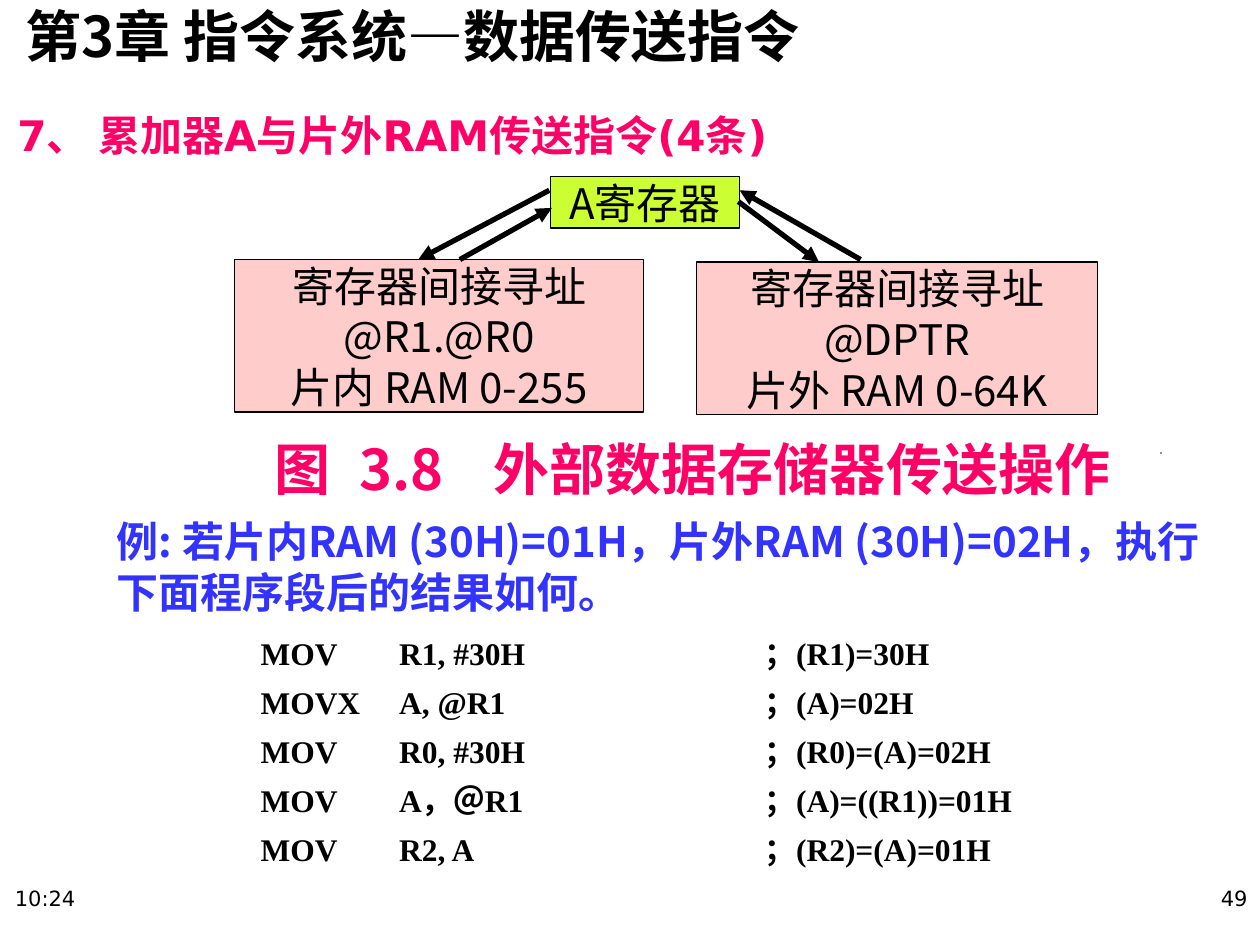
from lxml.etree import SubElement
from pptx import Presentation
from pptx.dml.color import RGBColor
from pptx.enum.shapes import MSO_CONNECTOR, MSO_SHAPE
from pptx.enum.text import PP_ALIGN
from pptx.oxml.ns import qn
from pptx.util import Inches, Pt

COLORS = {"ink": "000000", "pink": "FF0066", "blue": "3333FF",
          "lime": "CCFF33", "rose": "FFCCCC"}
SANS, SANS_JP = "Noto Sans CJK SC", "Noto Sans CJK JP"
LATIN, SERIF = "DejaVu Sans", "Times New Roman"
CELL = 0.1
INSET = (1, 0.5, 1, 0.5)


def color(name):
    """Return the named palette colour."""
    return RGBColor.from_string(COLORS[name])


def grid(*cells):
    """Convert grid cells to lengths."""
    return [Inches(n * CELL) for n in cells]


def within(box, x, y, w, h):
    """Place a part, given in cells, relative to its region's corner."""
    return box[0] + x, box[1] + y, w, h


def write(sp, lines, size=24, font=SANS, ink="ink", bold=False, spacing=None,
          align=PP_ALIGN.LEFT, inset=(0, 0, 0, 0), wrap=True, tabs=()):
    """Fill a shape with formatted lines of text."""
    tf = sp.text_frame
    tf.word_wrap = wrap
    tf.margin_left, tf.margin_top, tf.margin_right, tf.margin_bottom = grid(*inset)
    for i, line in enumerate(lines):
        p = tf.paragraphs[0] if i == 0 else tf.add_paragraph()
        p.alignment = align
        if spacing:
            p.line_spacing = Pt(spacing)
        if tabs:
            stops = SubElement(p._p.get_or_add_pPr(), qn("a:tabLst"))
            for stop in grid(*tabs):
                SubElement(stops, qn("a:tab"), pos=str(stop), algn="l")
        r = p.add_run()
        r.text = line
        r.font.size, r.font.bold, r.font.name = Pt(size), bold, font
        r.font.color.rgb = color(ink)
        east = font if font in (SANS, SANS_JP) else SANS
        SubElement(r._r.get_or_add_rPr(), qn("a:ea"), typeface=east)


def add_text(slide, box, lines, **fmt):
    """Add a text box at a grid box."""
    write(slide.shapes.add_textbox(*grid(*box)), lines, **fmt)


def add_block(slide, box, fill, lines=(), outline=True):
    """Add a filled rectangle with centred text."""
    sp = slide.shapes.add_shape(MSO_SHAPE.RECTANGLE, *grid(*box))
    sp.shadow.inherit = False
    sp.fill.solid()
    sp.fill.fore_color.rgb = color(fill)
    if outline:
        sp.line.color.rgb = color("ink")
        sp.line.width = Pt(0.75)
    else:
        sp.line.fill.background()
    write(sp, lines, spacing=29, align=PP_ALIGN.CENTER)


def add_arrow(slide, box, start, end):
    """Add an arrow between two points of a region."""
    points = [box[0] + start[0], box[1] + start[1], box[0] + end[0], box[1] + end[1]]
    line = slide.shapes.add_connector(MSO_CONNECTOR.STRAIGHT, *grid(*points))
    line.line.color.rgb = color("ink")
    line.line.width = Pt(3)
    SubElement(line.line._get_or_add_ln(), qn("a:tailEnd"), type="triangle")
    SubElement(line._element.spPr, qn("a:effectLst"))


def transfer_diagram(slide, box):
    """Draw the accumulator, both memories and the transfers between them."""
    add_block(slide, within(box, 25.1, 0, 15, 4.1), "lime", ["A寄存器"])
    add_block(slide, within(box, 0, 6.6, 32.5, 12.1), "rose",
              ["寄存器间接寻址", "@R1.@R0", "片内 RAM 0-255"])
    add_block(slide, within(box, 36.7, 6.8, 31.8, 12.1), "rose",
              ["寄存器间接寻址", "@DPTR", "片外 RAM 0-64K"])
    for start, end in (((25, 1.1), (14.6, 6.6)), ((17.9, 6.6), (25.2, 2.5)),
                       ((40, 2), (46.4, 6.8)), ((49.7, 6.6), (40.1, 1.1))):
        add_arrow(slide, box, start, end)


def caption(slide, box):
    """Set the figure caption and its closing dot."""
    for x, w, text in ((0, 4.5, "图"), (6.7, 9.8, "3.8"),
                       (17.4, 49.6, "外部数据存储器传送操作")):
        add_text(slide, within(box, x, 0, w, box[3]), [text], size=32,
                 ink="pink", bold=True, spacing=39, wrap=False)
    add_block(slide, within(box, 70.3, 1.5, 0.1, 0.1), "ink", outline=False)


def headings(slide, box):
    """Set the chapter title and the section heading."""
    add_text(slide, within(box, 0, 0, 72.8, 7.8), ["第3章 指令系统—数据传送指令"],
             size=32, bold=True, spacing=39, inset=(2, 0, 0, 0))
    add_text(slide, within(box, 0.4, 8.2, 63, 6.7),
             ["7、 累加器A与片外RAM传送指令(4条)"], font=LATIN, ink="pink",
             bold=True, spacing=29, inset=INSET)


def example(slide, box):
    """Set the question and its commented program."""
    add_text(slide, within(box, 0, 0, box[2], 10.5),
             ["例: 若片内RAM (30H)=01H，片外RAM (30H)=02H，执行下面程序段后的结果如何。"],
             font=SANS_JP, ink="blue", bold=True, spacing=29, inset=INSET)
    program = (("MOV", "R1, #30H", "(R1)=30H"),
               ("MOVX", "A, @R1", "(A)=02H"),
               ("MOV", "R0, #30H", "(R0)=(A)=02H"),
               ("MOV", "A，＠R1", "(A)=((R1))=01H"),
               ("MOV", "R2, A", "(R2)=(A)=01H"))
    add_text(slide, within(box, 1.4, 8.5, 72.4, 23.7),
             [f"\t{op}\t{args}\t；{note}" for op, args, note in program],
             size=18, font=SERIF, bold=True, spacing=28, inset=INSET,
             tabs=(10, 21, 50))


def footer(slide, box):
    """Set the time on the left and the page number on the right."""
    for x, text, align in ((0.2, "10:24", PP_ALIGN.LEFT),
                           (box[2] - 21.7, "49", PP_ALIGN.RIGHT)):
        add_text(slide, within(box, x, 0, 21.7, box[3]), [text], size=12,
                 font=LATIN, align=align, inset=INSET)


def main():
    """Build the slide and save it."""
    prs = Presentation()
    prs.slide_width, prs.slide_height = grid(100, 75)
    slide = prs.slides.add_slide(prs.slide_layouts[6])
    transfer_diagram(slide, (18.6, 14, 68.5, 18.9))
    caption(slide, (21.8, 34.4, 70.4, 5.4))
    footer(slide, (0, 69.8, 100, 5.2))
    headings(slide, (0, 0, 72.8, 14.9))
    example(slide, (8.3, 40.4, 88.3, 32.2))
    prs.save("out.pptx")


if __name__ == "__main__":
    main()
